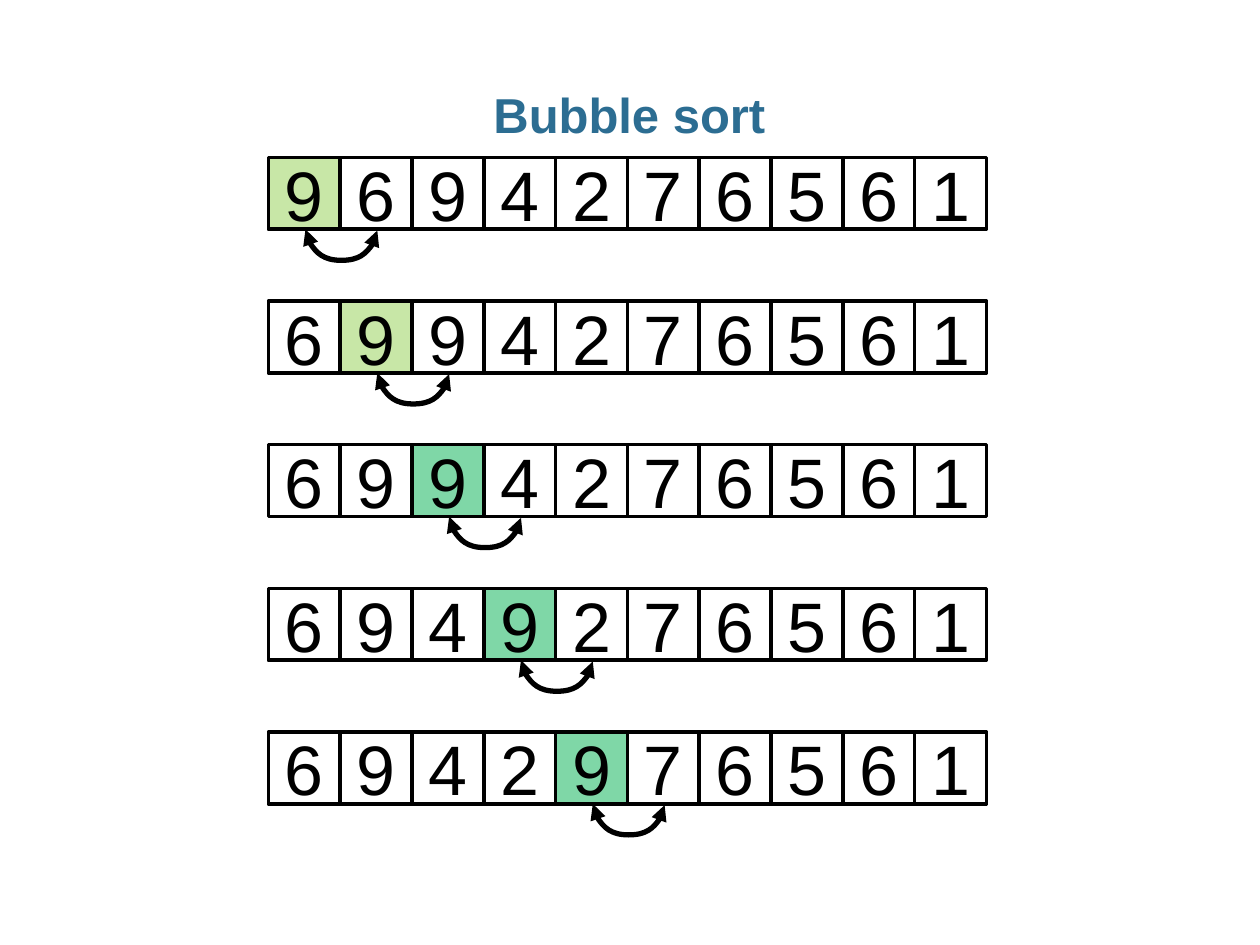
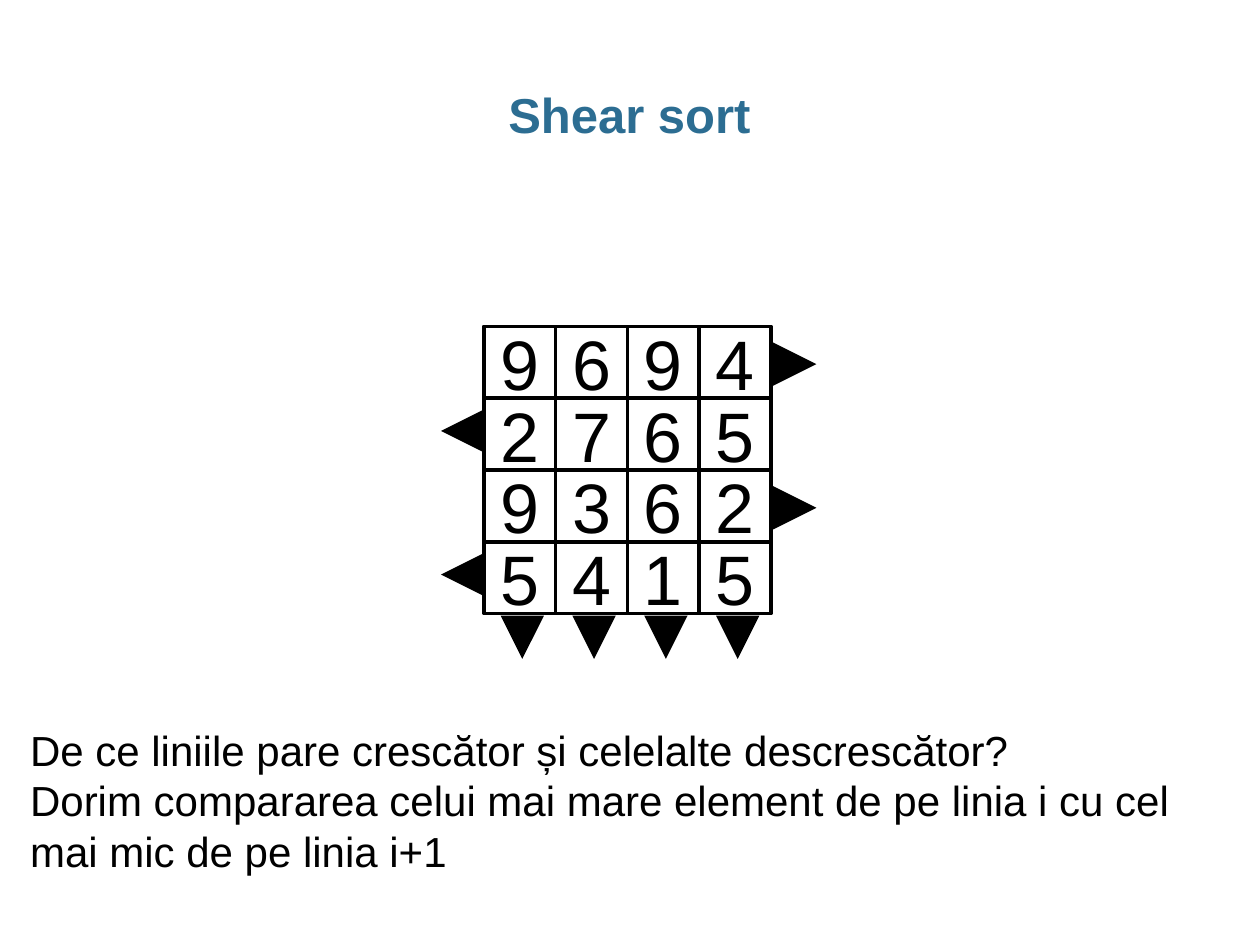
from pptx import Presentation
from pptx.dml.color import RGBColor
from pptx.enum import shapes, text
from pptx.oxml import ns
from pptx.util import Inches, Pt
from lxml import etree

BLACK = RGBColor(0x00, 0x00, 0x00)
TITLE_BLUE = RGBColor(0x2C, 0x6D, 0x92)
LIGHT_GREEN = RGBColor(0x92, 0xD0, 0x50)
GREEN = RGBColor(0x00, 0xB0, 0x50)
FONT = "Arial"
CELL = 0.57


def add_element(parent, tag, **attributes):
    return etree.SubElement(parent, ns.qn(tag), attributes)


class SortingDeck:
    def __init__(self):
        self.presentation = Presentation()
        self.presentation.slide_width = Inches(10)
        self.presentation.slide_height = Inches(7.5)
        self.slide = None

    def style(self, paragraph, size, color=BLACK, bold=False):
        paragraph.font.name = FONT
        paragraph.font.size = Pt(size)
        paragraph.font.color.rgb = color
        paragraph.font.bold = bold

    def add_slide(self, title):
        layout = self.presentation.slide_layouts[5]
        self.slide = self.presentation.slides.add_slide(layout)
        shape = self.slide.shapes.title
        shape.left, shape.top = Inches(0.34), Inches(0.68)
        shape.width, shape.height = Inches(9.31), Inches(0.5)
        frame = shape.text_frame
        frame.text = title
        frame.auto_size = text.MSO_AUTO_SIZE.NONE
        frame.vertical_anchor = text.MSO_ANCHOR.MIDDLE
        frame.margin_left = frame.margin_right = 0
        paragraph = frame.paragraphs[0]
        paragraph.alignment = text.PP_ALIGN.CENTER
        paragraph.line_spacing = 0.95
        self.style(paragraph, 28, TITLE_BLUE, True)

    def cell(self, left, top, value, fill=None):
        shape = self.slide.shapes.add_shape(
            shapes.MSO_SHAPE.RECTANGLE,
            Inches(left), Inches(top), Inches(CELL), Inches(CELL))
        shape.shadow.inherit = False
        shape.line.color.rgb = BLACK
        shape.line.width = Pt(2)
        if fill is None:
            shape.fill.background()
        else:
            shape.fill.solid()
            shape.fill.fore_color.rgb = fill
            color = shape.fill._xPr.find(".//" + ns.qn("a:srgbClr"))
            add_element(color, "a:alpha", val="50000")
        frame = shape.text_frame
        frame.text = str(value)
        frame.vertical_anchor = text.MSO_ANCHOR.MIDDLE
        paragraph = frame.paragraphs[0]
        paragraph.alignment = text.PP_ALIGN.CENTER
        self.style(paragraph, 40)

    def row(self, left, top, values, marked=None, fill=None):
        for column, value in enumerate(values):
            self.cell(left + column * CELL, top, value,
                      fill if column == marked else None)

    def arrow(self, start, end, width, kind=shapes.MSO_CONNECTOR.STRAIGHT,
              ends=("a:tailEnd",)):
        points = [Inches(length) for length in (*start, *end)]
        connector = self.slide.shapes.add_connector(kind, *points)
        connector.line.color.rgb = BLACK
        connector.line.width = Pt(width)
        properties = connector._element.spPr
        for tag in ends:
            add_element(properties.find(ns.qn("a:ln")), tag, type="triangle")
        add_element(properties, "a:effectLst")
        return properties

    def swap_arc(self, left, top, drop=0.01, sag=0.25):
        middle_x, middle_y = left + CELL / 2, top + drop / 2
        properties = self.arrow(
            (middle_x + drop / 2, middle_y - CELL / 2),
            (middle_x - drop / 2, middle_y + CELL / 2),
            3, shapes.MSO_CONNECTOR.CURVE, ("a:headEnd", "a:tailEnd"))
        properties.find(ns.qn("a:xfrm")).set("rot", "16200000")
        guides = properties.find(".//" + ns.qn("a:avLst"))
        add_element(guides, "a:gd", name="adj1",
                    fmla=f"val {round(sag / drop * 100000)}")

    def text_box(self, left, top, width, height, lines):
        box = self.slide.shapes.add_textbox(
            Inches(left), Inches(top), Inches(width), Inches(height))
        frame = box.text_frame
        frame.word_wrap = True
        frame.auto_size = text.MSO_AUTO_SIZE.SHAPE_TO_FIT_TEXT
        frame.text = "\n".join(lines)
        for paragraph in frame.paragraphs:
            self.style(paragraph, 24)


def bubble_sort_slide(deck):
    deck.add_slide("Bubble sort")
    left, first_top, row_step = 2.13, 1.25, 1.14
    values = [9, 6, 9, 4, 2, 7, 6, 5, 6, 1]
    fills = [LIGHT_GREEN] * 2 + [GREEN] * 3
    for step, fill in enumerate(fills):
        top = first_top + step * row_step
        deck.row(left, top, values, step, fill)
        deck.swap_arc(left + (step + 0.5) * CELL + 0.01, top + CELL)
        values[step:step + 2] = sorted(values[step:step + 2])


def shear_sort_slide(deck):
    deck.add_slide("Shear sort")
    left, top = 3.84, 2.59
    grid = [[9, 6, 9, 4], [2, 7, 6, 5], [9, 3, 6, 2], [5, 4, 1, 5]]
    for index, values in enumerate(grid):
        row_top = top + index * CELL
        deck.row(left, row_top, values)
        if index % 2 == 0:
            y = row_top + 0.3
            deck.arrow((6.23, y), (6.48, y), 8.25)
        else:
            y = row_top + 0.26
            deck.arrow((3.79, y), (3.5, y), 8.25)
        x = left + (index + 0.5) * CELL + 0.02
        deck.arrow((x, 4.91), (x, 5.23), 8.25)
    deck.text_box(0.14, 5.7, 9.52, 1.31, [
        "De ce liniile pare crescător și celelalte descrescător?",
        "Dorim compararea celui mai mare element de pe linia i "
        "cu cel mai mic de pe linia i+1",
    ])


def main():
    deck = SortingDeck()
    bubble_sort_slide(deck)
    shear_sort_slide(deck)
    deck.presentation.save("out.pptx")


if __name__ == "__main__":
    main()
